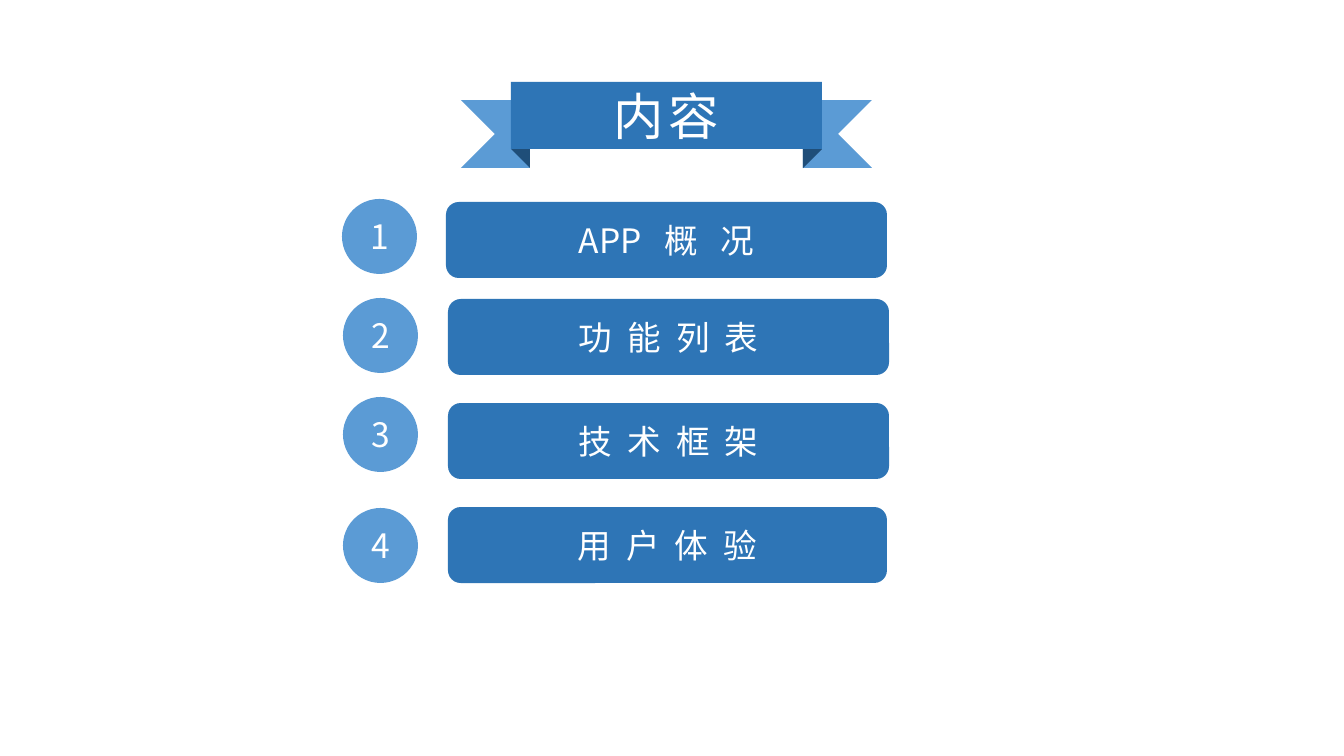
from pptx import Presentation, util as u
from pptx.dml.color import RGBColor
from pptx.enum import shapes, text

PX = 914400 / 100.8
FONT = "Noto Sans CJK SC"
COLORS = {"bar": "2E75B6", "light": "5B9BD5", "fold": "1F4E79", "text": "FFFFFF"}
LABEL_FORMAT = {"name": FONT, "size": u.Pt(24)}
TITLE_FORMAT = {"name": FONT, "size": u.Pt(36)}


def paint(shape, color):
    shape.fill.solid()
    shape.fill.fore_color.rgb = RGBColor.from_string(COLORS[color])
    shape.line.fill.background()
    shape.shadow.inherit = False


def write(shape, label, font_format, spacing=0):
    """Centre the label; spacing widens its spaces, in hundredths of a point."""
    frame = shape.text_frame
    frame.vertical_anchor = text.MSO_ANCHOR.MIDDLE
    frame.auto_size = text.MSO_AUTO_SIZE.NONE
    paragraph = frame.paragraphs[0]
    paragraph.alignment = text.PP_ALIGN.CENTER
    for part in label.replace(" ", "| |").split("|"):
        run = paragraph.add_run()
        run.text = part
        for name, value in font_format.items():
            setattr(run.font, name, value)
        run.font.color.rgb = RGBColor.from_string(COLORS["text"])
        if part == " ":
            run.font._element.set("spc", str(spacing))


presentation = Presentation()
presentation.slide_width = round(1344 * PX)
presentation.slide_height = round(756 * PX)
slide = presentation.slides.add_slide(presentation.slide_layouts[5])

# Ribbon: tails and folds mirrored about the banner's centre
MIRROR = 1333
TAIL = [(461, 100), (530, 100), (530, 168), (461, 168), (495, 134)]
FOLD_SIZE = 19
right_tail = [(MIRROR - x, y) for x, y in TAIL]
for points, fold_left, rotation in [(TAIL, 511, 180), (right_tail, 803, 90)]:
    builder = slide.shapes.build_freeform(*points[0], scale=PX)
    builder.add_line_segments(points[1:], close=True)
    paint(builder.convert_to_shape(), "light")
    fold = slide.shapes.add_shape(
        shapes.MSO_SHAPE.RIGHT_TRIANGLE,
        *(round(v * PX) for v in (fold_left, 149, FOLD_SIZE, FOLD_SIZE)))
    fold.rotation = rotation
    paint(fold, "fold")

title = slide.shapes.title
banner_box = {"left": 511, "top": 82, "width": 311, "height": 67}
for name, value in banner_box.items():
    setattr(title, name, round(value * PX))
paint(title, "bar")
write(title, "内容", TITLE_FORMAT)
title.text_frame.paragraphs[0].runs[0].font._element.set("spc", "300")
title.element.getparent().append(title.element)  # in front of the tails

# Agenda: circle left and top, bar left, top and width, label, space widening
CIRCLE_SIZE, BAR_HEIGHT = 75, 76
AGENDA = [
    (342, 199, 446, 202, 441, "APP 概 况", 1075),
    (343, 298, 448, 299, 441, "功 能 列 表", 537),
    (343, 397, 448, 403, 441, "技 术 框 架", 537),
    (343, 508, 448, 507, 439, "用 户 体 验", 537),
]
for number, item in enumerate(AGENDA, 1):
    circle_left, circle_top, bar_left, bar_top, bar_width, label, spacing = item
    circle = slide.shapes.add_shape(
        shapes.MSO_SHAPE.OVAL,
        *(round(v * PX) for v in (circle_left, circle_top, CIRCLE_SIZE, CIRCLE_SIZE)))
    paint(circle, "light")
    write(circle, str(number), LABEL_FORMAT)
    bar = slide.shapes.add_shape(
        shapes.MSO_SHAPE.ROUNDED_RECTANGLE,
        *(round(v * PX) for v in (bar_left, bar_top, bar_width, BAR_HEIGHT)))
    paint(bar, "bar")
    write(bar, label, LABEL_FORMAT, spacing)

presentation.save("out.pptx")
